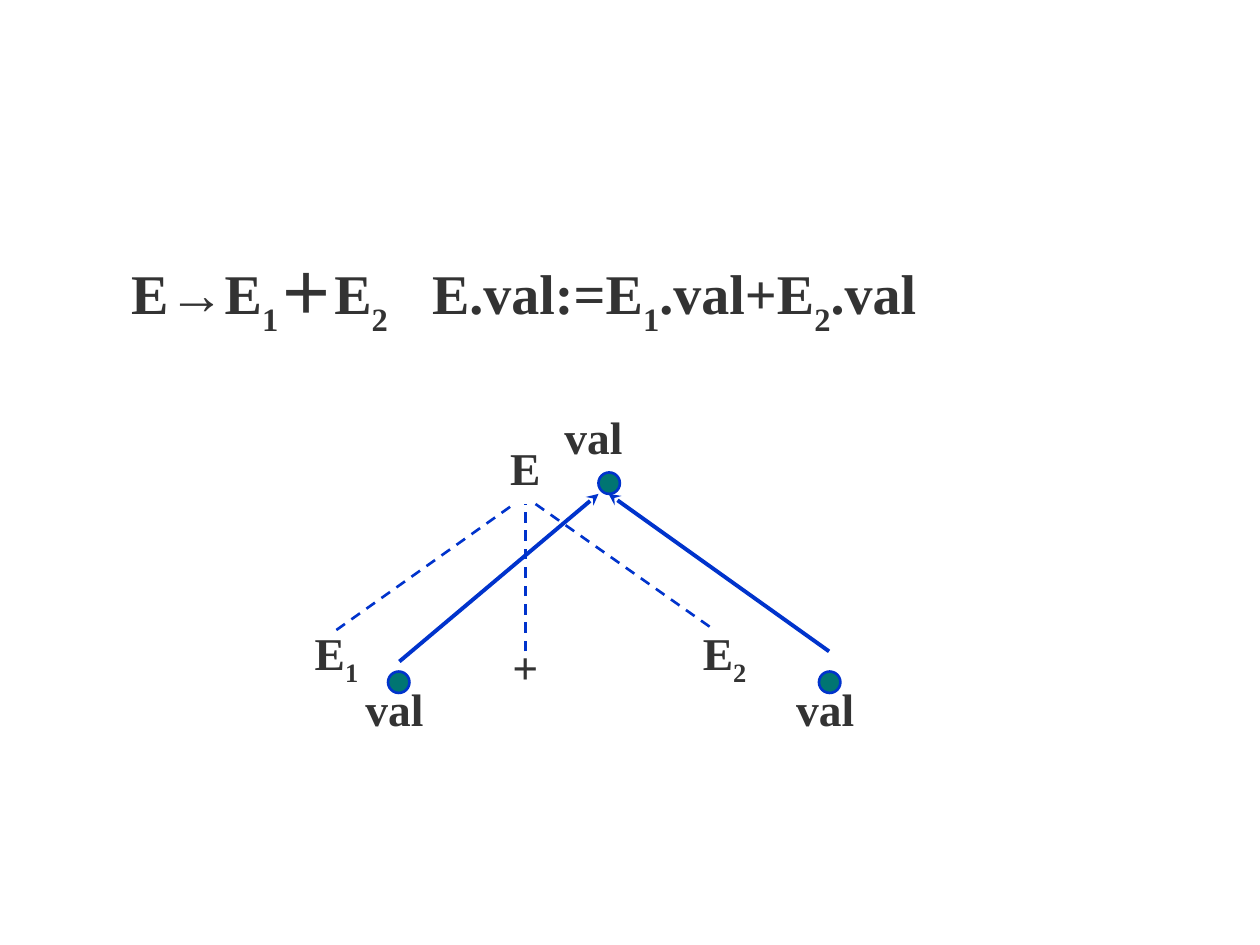
from itertools import groupby

from lxml import etree
from pptx import Presentation
from pptx.dml.color import RGBColor
from pptx.enum import dml, shapes, text
from pptx.oxml import ns
from pptx.util import Inches, Pt

# Content: every digit in a label is a subscript
RULE = " E→E1＋E2\tE.val:=E1.val+E2.val"
RULE_BOX = (0.83, 2, 8.75, 0.58)
ACTION_TAB = 3.38

LABEL_HEIGHT = 0.58
LABELS = [  # label, centre x, top
    ("E1", 2.67, 4.92), ("+", 4.17, 5), ("E2", 5.75, 4.92), ("E", 4.17, 3.42),
    ("val", 4.71, 3.17), ("val", 3.13, 5.33), ("val", 6.55, 5.33),
]
TREE_EDGES = [(2.67, 5, 4.08, 4), (4.17, 5.17, 4.17, 4), (4.25, 4, 5.67, 5)]
VALUE_FLOWS = [(3.17, 5.25, 4.75, 3.92), (6.58, 5.17, 4.83, 3.92)]
DOT_SIZE = 0.17
DOTS = [(3.08, 5.33), (6.5, 5.33), (4.75, 3.75)]

FONT, INK, BLUE, TEAL = "Times New Roman", "333333", "0033CC", "007572"


def color(hex_value):
    return RGBColor.from_string(hex_value)


def write(paragraph, content, size, subscript):
    for is_digit, chars in groupby(content, str.isdigit):
        run = paragraph.add_run()
        run.text = "".join(chars)
        for name, value in {"name": FONT, "size": Pt(size), "bold": True}.items():
            setattr(run.font, name, value)
        run.font.color.rgb = color(INK)
        if is_digit:
            run.font._element.set("baseline", str(subscript * 1000))


def add_line(slide, ends, width, dash=None, arrow=None):
    line = slide.shapes.add_connector(
        shapes.MSO_CONNECTOR.STRAIGHT, *map(Inches, ends))
    line.line.color.rgb = color(BLUE)
    line.line.width = Pt(width)
    if dash:
        line.line.dash_style = dash
    if arrow:
        etree.SubElement(line.line._get_or_add_ln(), ns.qn("a:tailEnd"), type=arrow)
    etree.SubElement(line._element.spPr, ns.qn("a:effectLst"))


def add_rule(slide):
    body = slide.placeholders[1]
    body.left, body.top, body.width, body.height = map(Inches, RULE_BOX)
    frame = body.text_frame
    frame.auto_size = text.MSO_AUTO_SIZE.NONE
    frame.vertical_anchor = text.MSO_ANCHOR.TOP
    paragraph = frame.paragraphs[0]
    layout = {"alignment": text.PP_ALIGN.JUSTIFY, "line_spacing": 0.9,
              "space_before": Pt(6.4)}
    for name, value in layout.items():
        setattr(paragraph, name, value)
    # No bullet or indent, one tab stop before the semantic action
    props = paragraph._p.get_or_add_pPr()
    props.set("marL", "0")
    props.set("indent", "0")
    etree.SubElement(props, ns.qn("a:buNone"))
    tabs = etree.SubElement(props, ns.qn("a:tabLst"))
    etree.SubElement(tabs, ns.qn("a:tab"), pos=str(Inches(ACTION_TAB)), algn="l")
    write(paragraph, RULE, 32, -30)


def add_label(slide, content, center, top, width=0.75):
    box = slide.shapes.add_textbox(
        *map(Inches, (center - width / 2, top, width, LABEL_HEIGHT)))
    frame = box.text_frame
    frame.word_wrap = False
    frame.vertical_anchor = text.MSO_ANCHOR.MIDDLE
    frame.paragraphs[0].alignment = text.PP_ALIGN.CENTER
    write(frame.paragraphs[0], content, 26, -25)


def add_dot(slide, left, top):
    dot = slide.shapes.add_shape(
        shapes.MSO_SHAPE.OVAL, *map(Inches, (left, top, DOT_SIZE, DOT_SIZE)))
    dot.shadow.inherit = False
    dot.fill.solid()
    dot.fill.fore_color.rgb = color(TEAL)
    dot.line.color.rgb = color(BLUE)
    dot.line.width = Pt(1.5)


def main():
    prs = Presentation()
    prs.slide_width, prs.slide_height = Inches(10), Inches(7.5)
    slide = prs.slides.add_slide(prs.slide_layouts[1])
    title = slide.shapes.title._element
    title.getparent().remove(title)

    # Production and its semantic action
    add_rule(slide)
    # Parse tree
    for ends in TREE_EDGES:
        add_line(slide, ends, 1.5, dash=dml.MSO_LINE.DASH)
    for label in LABELS:
        add_label(slide, *label)
    # Attribute dependencies
    for ends in VALUE_FLOWS:
        add_line(slide, ends, 2.25, arrow="stealth")
    for dot in DOTS:
        add_dot(slide, *dot)
    prs.save("out.pptx")


if __name__ == "__main__":
    main()
